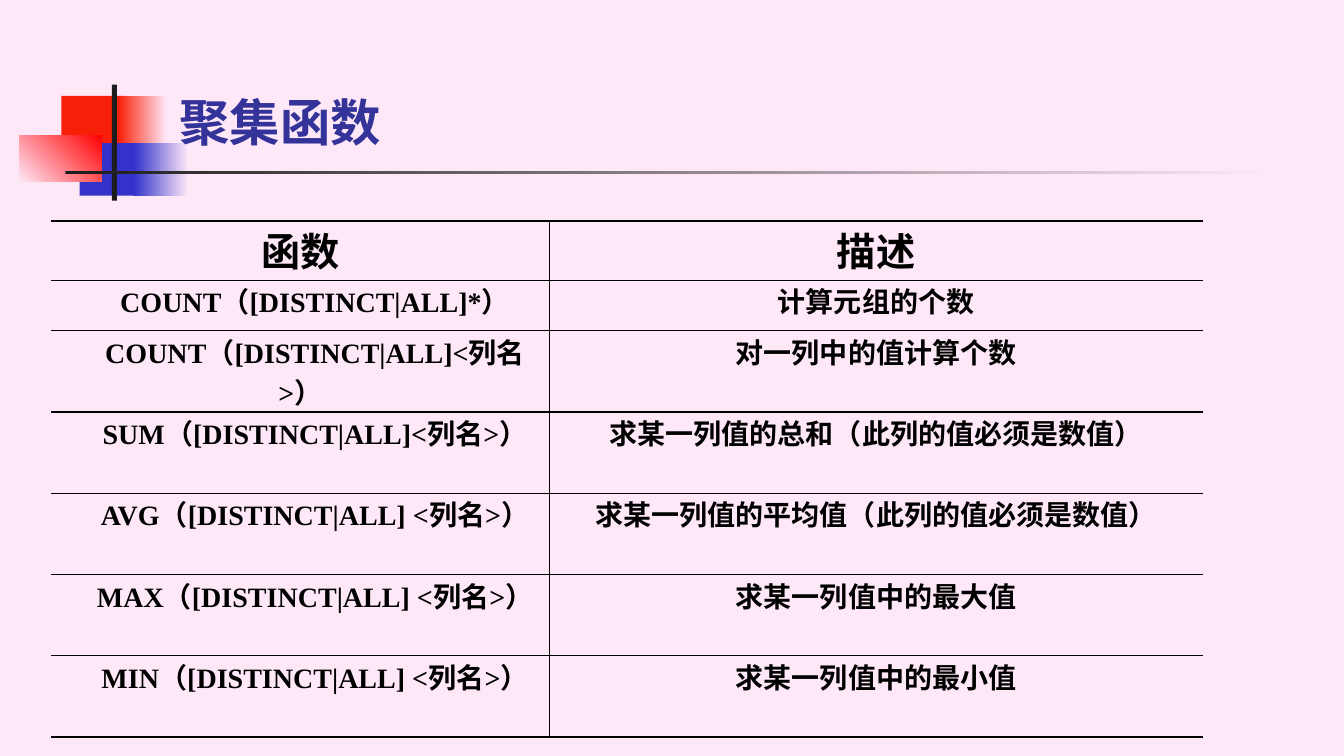
from dataclasses import dataclass
from typing import Optional

from lxml.etree import SubElement
from pptx import Presentation
from pptx.dml.color import RGBColor
from pptx.enum.shapes import MSO_SHAPE
from pptx.enum.text import MSO_ANCHOR, PP_ALIGN
from pptx.oxml.ns import qn
from pptx.util import Inches, Pt

FONT = "Times New Roman"
COLORS = {
    "background": "FEE8F7",
    "red": "F81F08",
    "bright_red": "FF0000",
    "blue": "3333CC",
    "dark": "1C1C1C",
    "title": "333399",
    "black": "000000",
}


@dataclass
class Block:
    left: float
    top: float
    width: float
    height: float
    color: str
    end_color: Optional[str] = None
    angle: float = 0


BLOCKS = [
    Block(0.61, 0.95, 0.64, 0.52, "red"),
    Block(1.17, 0.95, 0.48, 0.52, "red", "background"),
    Block(0.79, 1.42, 0.62, 0.52, "blue"),
    Block(1.33, 1.42, 0.54, 0.52, "blue", "background"),
    Block(0.19, 1.34, 0.82, 0.46, "background", "bright_red", 45),
    Block(1.11, 0.84, 0.05, 1.15, "dark"),
    Block(0.65, 1.7, 12, 0.03, "dark", "background"),
]

ROWS = [
    ("函数", "描述"),
    ("COUNT（[DISTINCT|ALL]*）", "计算元组的个数"),
    ("COUNT（[DISTINCT|ALL]<列名>）", "对一列中的值计算个数"),
    ("SUM（[DISTINCT|ALL]<列名>）", "求某一列值的总和（此列的值必须是数值）"),
    ("AVG（[DISTINCT|ALL] <列名>）", "求某一列值的平均值（此列的值必须是数值）"),
    ("MAX（[DISTINCT|ALL] <列名>）", "求某一列值中的最大值"),
    ("MIN（[DISTINCT|ALL] <列名>）", "求某一列值中的最小值"),
]
COLUMN_WIDTHS = [4.94, 6.48]
ROW_HEIGHTS = [0.59, 0.5] + [0.72] * 5


def rgb(name: str) -> RGBColor:
    return RGBColor.from_string(COLORS[name])


def format_text(para, size: float, color: str) -> None:
    for span in para.runs:
        span.font.name = FONT
        span.font.size = Pt(size)
        span.font.bold = True
        span.font.color.rgb = rgb(color)


def add_block(slide, block: Block) -> None:
    box = slide.shapes.add_shape(
        MSO_SHAPE.RECTANGLE, Inches(block.left), Inches(block.top),
        Inches(block.width), Inches(block.height))
    box.shadow.inherit = False
    box.line.fill.background()
    if block.end_color is None:
        box.fill.solid()
        box.fill.fore_color.rgb = rgb(block.color)
        return
    box.fill.gradient()
    box.fill.gradient_angle = block.angle
    for stop, name in zip(box.fill.gradient_stops, (block.color, block.end_color)):
        stop.color.rgb = rgb(name)


def add_border(cell, side: str, width: float) -> None:
    """Draw one cell border; a width of 0 hides it."""
    properties = cell._tc.get_or_add_tcPr()
    line = SubElement(properties, qn(f"a:ln{side}"), w=str(Pt(width)))
    if width:
        fill = SubElement(line, qn("a:solidFill"))
        SubElement(fill, qn("a:srgbClr"), val=COLORS["black"])
    else:
        SubElement(line, qn("a:noFill"))


def fill_cell(cell, text: str, row: int, column: int) -> None:
    last_row, last_column = len(ROWS) - 1, len(COLUMN_WIDTHS) - 1
    cell.margin_left = cell.margin_right = Inches(0.07)
    cell.margin_top = cell.margin_bottom = 0
    add_border(cell, "L", 1 if column > 0 else 0)
    add_border(cell, "R", 1 if column < last_column else 0)
    add_border(cell, "T", 1.5 if row == 0 else 1)
    add_border(cell, "B", 1.5 if row == last_row else 1)
    cell.fill.background()

    para = cell.text_frame.paragraphs[0]
    para.text = text
    para.alignment = PP_ALIGN.CENTER
    if row > 0 and column == 0:
        para._p.get_or_add_pPr().set("indent", str(Inches(0.29)))
    format_text(para, 28 if row == 0 else 20, "black")


def add_function_table(slide) -> None:
    table = slide.shapes.add_table(
        len(ROWS), len(COLUMN_WIDTHS), Inches(0.51), Inches(2.19),
        Inches(sum(COLUMN_WIDTHS)), Inches(sum(ROW_HEIGHTS))).table
    table.first_row = table.horz_banding = False
    for column, width in zip(table.columns, COLUMN_WIDTHS):
        column.width = Inches(width)
    for row, height in zip(table.rows, ROW_HEIGHTS):
        row.height = Inches(height)
    for row_index, texts in enumerate(ROWS):
        for column_index, text in enumerate(texts):
            fill_cell(table.cell(row_index, column_index), text,
                      row_index, column_index)


def format_title(slide) -> None:
    title = slide.shapes.title
    title.left, title.top = Inches(1.68), Inches(0.68)
    title.width, title.height = Inches(11.36), Inches(0.87)
    frame = title.text_frame
    frame.text = "聚集函数"
    frame.vertical_anchor = MSO_ANCHOR.BOTTOM
    frame.paragraphs[0].alignment = PP_ALIGN.LEFT
    format_text(frame.paragraphs[0], 36, "title")
    # Bring the title in front of the blocks
    title._element.getparent().append(title._element)


def main() -> None:
    deck = Presentation()
    deck.slide_width, deck.slide_height = Inches(13.33), Inches(7.5)
    page = deck.slides.add_slide(deck.slide_layouts[5])
    page.background.fill.solid()
    page.background.fill.fore_color.rgb = rgb("background")

    # Coloured blocks and rules around the title
    for block in BLOCKS:
        add_block(page, block)
    format_title(page)

    # Aggregate functions and their descriptions
    add_function_table(page)
    deck.save("out.pptx")


if __name__ == "__main__":
    main()
